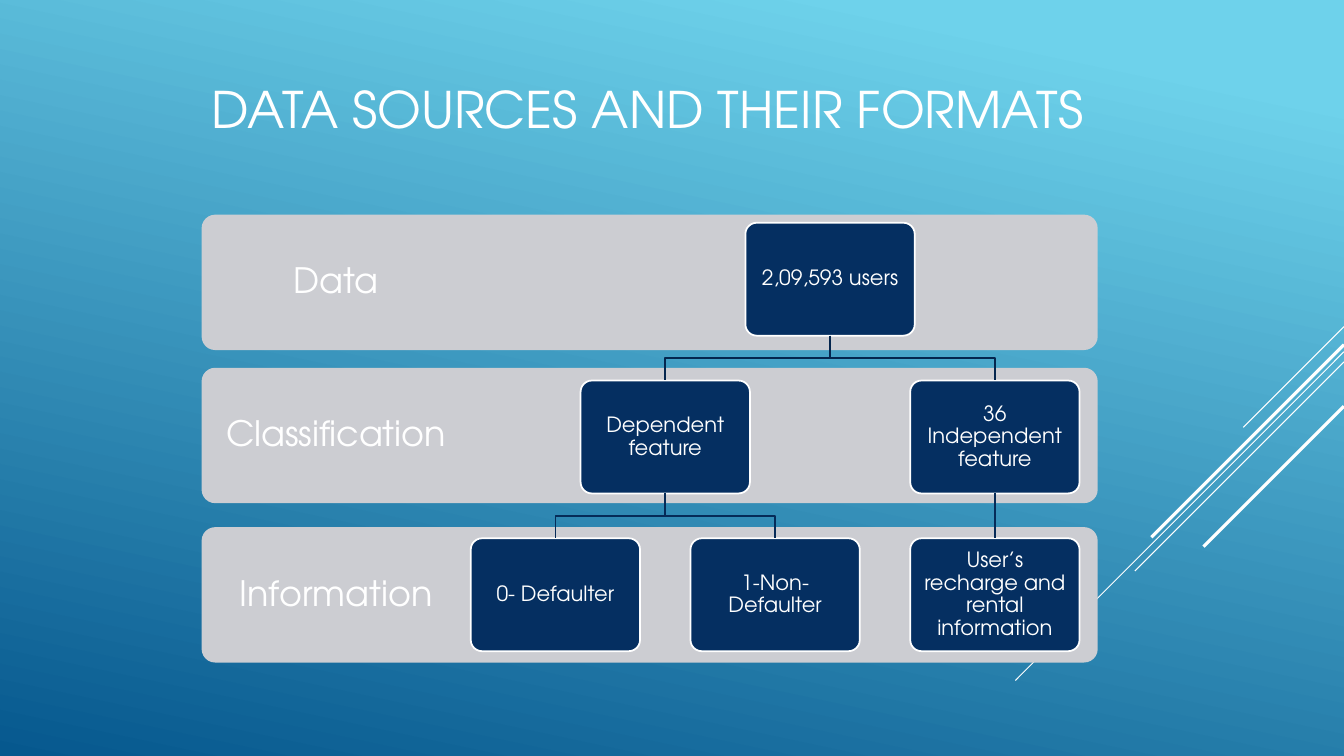
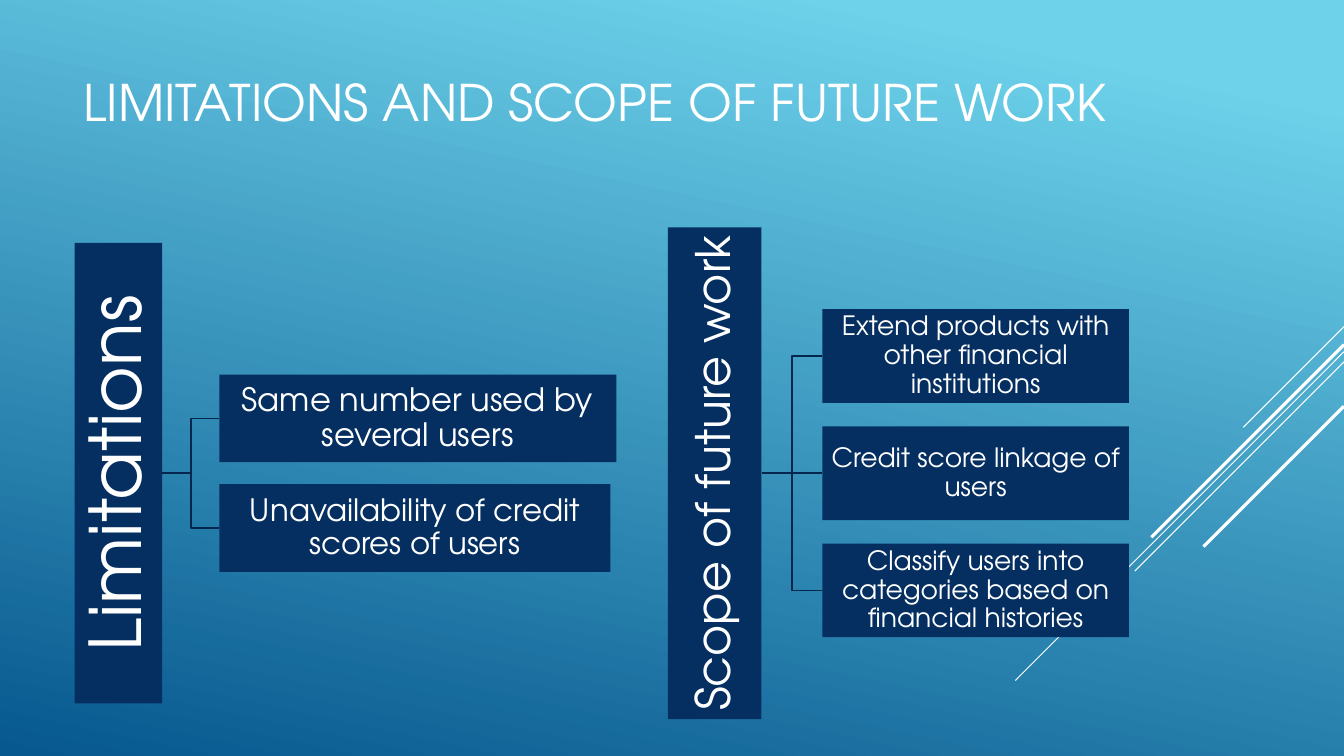
from lxml import etree
from pptx import Presentation
from pptx import util as u
from pptx.dml import color
from pptx.enum import shapes, text
from pptx.oxml import ns

COLS, ROWS = 80, 45
FONT = "TeX Gyre Adventor"
WHITE, NAVY, BAND = "FFFFFF", "052F61", "CCCDD2"
LINK, LEAF = "04264E", "052B58"
SKY, DEEP = "6ED2EB", "06588E"
KIND = shapes.MSO_SHAPE
JOIN = shapes.MSO_CONNECTOR


def cell(n):
    return u.Inches(n / 6)


def tint(part, hue):
    part.rgb = color.RGBColor.from_string(hue)


def style(frame, size, align):
    frame.word_wrap = True
    frame.auto_size = text.MSO_AUTO_SIZE.NONE
    frame.vertical_anchor = text.MSO_ANCHOR.MIDDLE
    for par in frame.paragraphs:
        par.alignment = align
        par.line_spacing = 0.9
        for run in par.runs:
            run.font.name = FONT
            run.font.size = u.Pt(size)
            tint(run.font.color, WHITE)


def block(slide, kind, box, fill, words, size, pad, edge=None):
    shape = slide.shapes.add_shape(kind, *map(cell, box))
    shape.shadow.inherit = False
    shape.fill.solid()
    tint(shape.fill.fore_color, fill)
    if kind == KIND.ROUNDED_RECTANGLE:
        shape.adjustments[0] = 0.1
    if edge:
        tint(shape.line.color, edge)
        shape.line.width = u.Pt(1.25)
    else:
        shape.line.fill.background()
    frame = shape.text_frame
    frame.text = words
    frame.margin_left = frame.margin_right = u.Inches(pad)
    frame.margin_top = frame.margin_bottom = u.Inches(pad)
    style(frame, size, text.PP_ALIGN.CENTER)
    return shape


def wire(slide, kind, ends, hue, width=1.25):
    line = slide.shapes.add_connector(kind, *ends)
    tint(line.line.color, hue)
    line.line.width = u.Pt(width)
    etree.SubElement(line.element.spPr, ns.qn("a:effectLst"))
    return line


def link(slide, kind, start, out, end, into, hue):
    line = wire(slide, kind, (0, 0, 0, 0), hue)
    line.begin_connect(start, out)
    line.end_connect(end, into)


def drop(slide, top, low, hue):
    x1, x2 = (node.left + node.width // 2 for node in (top, low))
    y1, y2 = top.top + top.height, low.top
    if abs(x1 - x2) < cell(0.05):
        link(slide, JOIN.STRAIGHT, top, 2, low, 0, hue)
        return
    mid = (y1 + y2) // 2
    path = slide.shapes.build_freeform(x1, y1)
    path.add_line_segments([(x1, mid), (x2, mid), (x2, y2)], close=False)
    shape = path.convert_to_shape()
    shape.shadow.inherit = False
    shape.fill.background()
    tint(shape.line.color, hue)
    shape.line.width = u.Pt(1.25)


def stage(prs, slide):
    master = prs.slide_master
    fill = master.background.fill
    fill.gradient()
    fill.gradient_angle = 258
    for stop, spot, hue in zip(fill.gradient_stops, (0.1, 1), (SKY, DEEP)):
        stop.position = spot
        tint(stop.color, hue)
    rays = [(19.44, 6, 0.75), (20.94, 19.56, 0.75), (21.54, 12.45, 0.75),
            (20.52, 11.46, 2.25), (24.18, 8.36, 2.25)]
    for i, (top, run, width) in enumerate(rays):
        ends = map(cell, (COLS, top, COLS - run, top + run))
        ray = wire(slide, JOIN.STRAIGHT, ends, WHITE, width)
        ray.element.nvCxnSpPr.cNvPr.id = 20 + i
        master.shapes.element.append(ray.element)


def page(prs, words, box):
    slide = prs.slides.add_slide(prs.slide_layouts[5])
    title = slide.shapes.title
    title.left, title.top, title.width, title.height = map(cell, box)
    title.text_frame.text = words
    style(title.text_frame, 36, text.PP_ALIGN.LEFT)
    return slide


def tree(slide, box, bands, nodes, links):
    left, top, wide, high = box
    tall = 8.06
    for words, down in bands:
        band = block(slide, KIND.ROUNDED_RECTANGLE,
                     (left, top + down * (high - tall), wide, tall),
                     BAND, words, 25, 0.19)
        band.text_frame.margin_right = cell(wide * 0.7) + u.Inches(0.19)
    made = []
    for words, col, row in nodes:
        spot = (left + 16.02 + col * 6.54, top + 0.48 + row * 9.39, 10.08, 6.72)
        made.append(block(slide, KIND.ROUNDED_RECTANGLE, spot, NAVY, words,
                          15, 0.06, WHITE))
    for a, b in links:
        drop(slide, made[a], made[b], LEAF if a else LINK)


def fan(slide, box, words, size, pad, leaves):
    left, top, wide, high = box
    bar = block(slide, KIND.RECTANGLE, box, NAVY, words, size, pad)
    bar.text_frame._txBody.bodyPr.set("vert", "vert270")
    half = (len(leaves) - 1) / 2
    for i, (note, span, points) in enumerate(leaves):
        mid = top + high / 2 + (i - half) * wide * 1.25
        spot = (left + wide * 1.65, mid - wide / 2, span, wide)
        leaf = block(slide, KIND.RECTANGLE, spot, NAVY, note, points, pad / 2)
        kind = JOIN.STRAIGHT if i == half else JOIN.ELBOW
        link(slide, kind, bar, 3, leaf, 1, LINK)


def main():
    prs = Presentation()
    prs.slide_width, prs.slide_height = cell(COLS), cell(ROWS)

    data = page(prs, "DATA SOURCES AND THEIR FORMATS", (12, 1.74, 56, 9.9))
    stage(prs, data)
    tree(data, (12, 12.78, 53.34, 26.66),
         [("Information", 1), ("Classification", 0.49), ("Data", 0)],
         [("2,09,593 users", 2.5, 0),
          ("Dependent feature", 1, 1),
          ("36 Independent feature", 4, 1),
          ("0- Defaulter", 0, 2),
          ("1-Non-Defaulter", 2, 2),
          ("User’s recharge and rental information", 4, 2)],
         [(0, 1), (0, 2), (1, 3), (1, 4), (2, 5)])

    scope = page(prs, "LIMITATIONS AND SCOPE OF FUTURE WORK",
                 (4.38, 1.32, 68.94, 9.9))
    fan(scope, (4.44, 14.46, 5.22, 27.42), "Limitations", 51, 0.04,
        [("Same number used by several users", 23.64, 23),
         ("Unavailability of credit scores of users", 23.28, 22)])
    fan(scope, (39.75, 13.53, 5.58, 29.28), "Scope of future work", 34, 0.02,
        [(note, 18.24, 19) for note in (
            "Extend products with other financial institutions",
            "Credit score linkage of users",
            "Classify users into categories based on financial histories")])
    prs.save("out.pptx")


if __name__ == "__main__":
    main()
